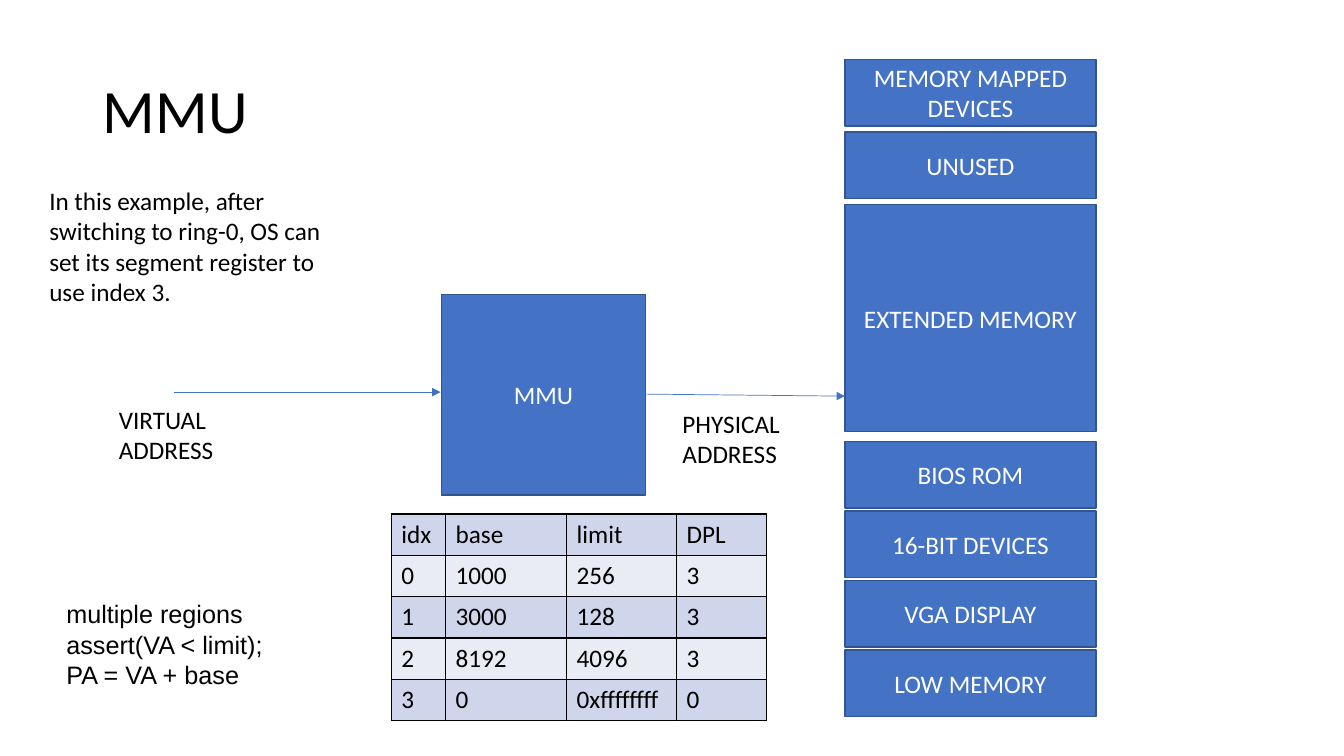
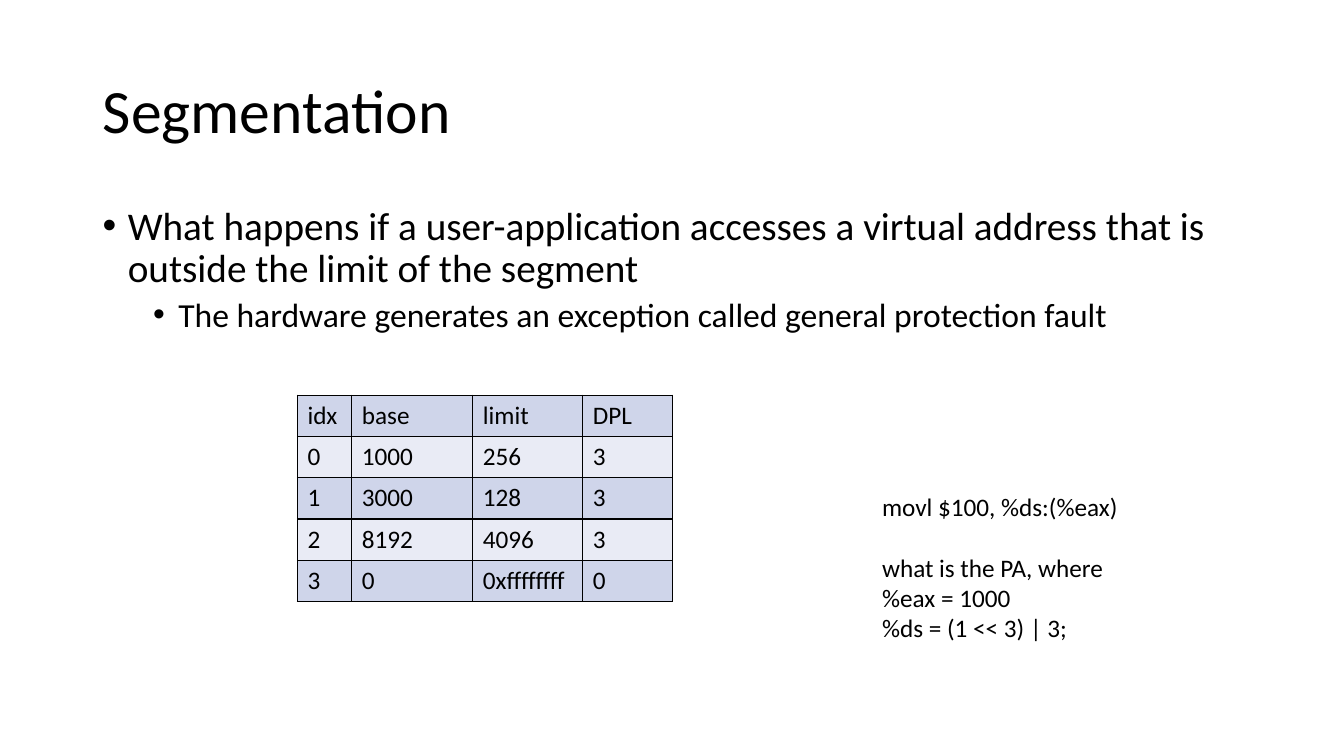
"""Build two slides on the MMU and segmentation."""
from lxml import etree
from pptx import Presentation
from pptx.dml.color import RGBColor
from pptx.enum import shapes, text
from pptx.oxml import ns
from pptx.util import Inches, Pt

BLACK = RGBColor(0x00, 0x00, 0x00)
WHITE = RGBColor(0xFF, 0xFF, 0xFF)
BLUE = RGBColor(0x44, 0x72, 0xC4)
DARK_BLUE = RGBColor(0x32, 0x54, 0x91)
ROW_FILLS = [RGBColor(0xCF, 0xD5, 0xEA), RGBColor(0xE9, 0xEB, 0xF5)]
FONT = "Calibri"

SEGMENTS = [
    ("idx", "base", "limit", "DPL"),
    ("0", "1000", "256", "3"),
    ("1", "3000", "128", "3"),
    ("2", "8192", "4096", "3"),
    ("3", "0", "0xffffffff", "0"),
]
COLUMN_WIDTHS = [0.54, 1.2, 1.09, 0.89]
ROW_HEIGHT = 0.41


def add_text(slide, left, top, width, height, lines, font=FONT):
    box = slide.shapes.add_textbox(Inches(left), Inches(top), Inches(width), Inches(height))
    frame = box.text_frame
    frame.word_wrap = True
    frame.text = "\n".join(lines)
    for paragraph in frame.paragraphs:
        paragraph.font.name = font
        paragraph.font.size = Pt(18)
        paragraph.font.color.rgb = BLACK
    return frame


def add_segment_table(slide, left, top):
    table = slide.shapes.add_table(
        len(SEGMENTS), len(COLUMN_WIDTHS), Inches(left), Inches(top),
        Inches(sum(COLUMN_WIDTHS)), Inches(ROW_HEIGHT * len(SEGMENTS))).table
    for column, width in zip(table.columns, COLUMN_WIDTHS):
        column.width = Inches(width)
    for r, values in enumerate(SEGMENTS):
        table.rows[r].height = Inches(ROW_HEIGHT)
        for c, value in enumerate(values):
            cell = table.cell(r, c)
            cell.text = value
            font = cell.text_frame.paragraphs[0].font
            font.name = FONT
            font.size = Pt(18)
            font.bold = False
            font.color.rgb = BLACK
            properties = cell._tc.get_or_add_tcPr()
            for side in ("a:lnL", "a:lnR", "a:lnT", "a:lnB"):
                border = etree.SubElement(properties, ns.qn(side), w=str(Pt(1)))
                border_fill = etree.SubElement(border, ns.qn("a:solidFill"))
                etree.SubElement(border_fill, ns.qn("a:srgbClr"), val=str(BLACK))
            cell.fill.solid()
            cell.fill.fore_color.rgb = ROW_FILLS[r % 2]


deck = Presentation()
deck.slide_width = Inches(13.33)
deck.slide_height = Inches(7.5)

for heading in ("MMU", "Segmentation"):
    title = deck.slides.add_slide(deck.slide_layouts[5]).shapes.title
    title.left, title.top = Inches(0.92), Inches(0.4)
    title.width, title.height = Inches(11.5), Inches(1.45)
    title.text_frame.text = heading
    title.text_frame.vertical_anchor = text.MSO_ANCHOR.MIDDLE
    paragraph = title.text_frame.paragraphs[0]
    paragraph.alignment = text.PP_ALIGN.LEFT
    paragraph.line_spacing = 0.9
    paragraph.font.name = FONT
    paragraph.font.size = Pt(44)
    paragraph.font.color.rgb = BLACK

mmu_slide, segmentation_slide = deck.slides

blocks = [("MMU", 4.38, 2.92, 2.02, 1.99), ("EXTENDED MEMORY", 8.38, 2.03, 2.49, 2.25)]
for i, label in enumerate(["MEMORY MAPPED DEVICES", "UNUSED"]):
    blocks.append((label, 8.38, 0.59 + 0.72 * i, 2.49, 0.66))
for i, label in enumerate(["BIOS ROM", "16-BIT DEVICES", "VGA DISPLAY", "LOW MEMORY"]):
    blocks.append((label, 8.38, 4.38 + 0.69 * i, 2.49, 0.66))

for label, left, top, width, height in blocks:
    block = mmu_slide.shapes.add_shape(
        shapes.MSO_SHAPE.RECTANGLE, Inches(left), Inches(top), Inches(width), Inches(height))
    block.shadow.inherit = False
    block.fill.solid()
    block.fill.fore_color.rgb = BLUE
    block.line.color.rgb = DARK_BLUE
    block.line.width = Pt(1)
    block.text_frame.word_wrap = True
    block.text_frame.vertical_anchor = text.MSO_ANCHOR.MIDDLE
    block.text_frame.text = label
    paragraph = block.text_frame.paragraphs[0]
    paragraph.alignment = text.PP_ALIGN.CENTER
    paragraph.font.name = FONT
    paragraph.font.size = Pt(18)
    paragraph.font.color.rgb = WHITE

for x1, y1, x2, y2 in [(1.73, 3.89, 4.37, 3.89), (6.4, 3.91, 8.38, 3.93)]:
    arrow = mmu_slide.shapes.add_connector(
        shapes.MSO_CONNECTOR.STRAIGHT, Inches(x1), Inches(y1), Inches(x2), Inches(y2))
    arrow.line.color.rgb = BLUE
    arrow.line.width = Pt(0.5)
    etree.SubElement(arrow.line._get_or_add_ln(), ns.qn("a:tailEnd"), type="triangle")
    etree.SubElement(arrow._element.spPr, ns.qn("a:effectLst"))

add_text(mmu_slide, 1.08, 3.96, 2.19, 0.71, ["VIRTUAL", "ADDRESS"])
add_text(mmu_slide, 6.67, 4, 2.19, 0.71, ["PHYSICAL", "ADDRESS"])
add_segment_table(mmu_slide, 3.88, 5.1)
add_text(mmu_slide, 0.56, 5.89, 3.77, 1.01,
         ["multiple regions", "assert(VA < limit);", "PA = VA + base"], "Arial")
add_text(mmu_slide, 0.39, 1.79, 3.05, 1.31,
         ["In this example, after switching to ring-0, OS can set its segment register to use index 3."])

fault = add_text(segmentation_slide, 0.92, 2, 11.5, 4.76, [
    "What happens if a user-application accesses a virtual address that is outside the limit of the segment",
    "The hardware generates an exception called general protection fault"])
for level, (paragraph, indent, size, gap) in enumerate(
        zip(fault.paragraphs, (0.25, 0.75), (28, 24), (0, 5))):
    paragraph.level = level
    paragraph.line_spacing = 0.9
    paragraph.space_before = Pt(gap)
    properties = paragraph._p.get_or_add_pPr()
    properties.set("marL", str(Inches(indent)))
    properties.set("indent", str(Inches(-0.25)))
    bullet_font = etree.Element(ns.qn("a:buFont"), typeface="Arial")
    bullet = etree.Element(ns.qn("a:buChar"), char="•")
    run_defaults = properties.find(ns.qn("a:defRPr"))
    run_defaults.addprevious(bullet_font)
    run_defaults.addprevious(bullet)
    paragraph.font.size = Pt(size)

add_segment_table(segmentation_slide, 2.95, 3.92)
question = add_text(segmentation_slide, 8.65, 4.82, 3.92, 1.62, [
    "movl $100, %ds:(%eax)", "what is the PA, where", "%eax = 1000", "%ds = (1 << 3) | 3;"])
question.paragraphs[1].space_before = Pt(22)

deck.save("out.pptx")
